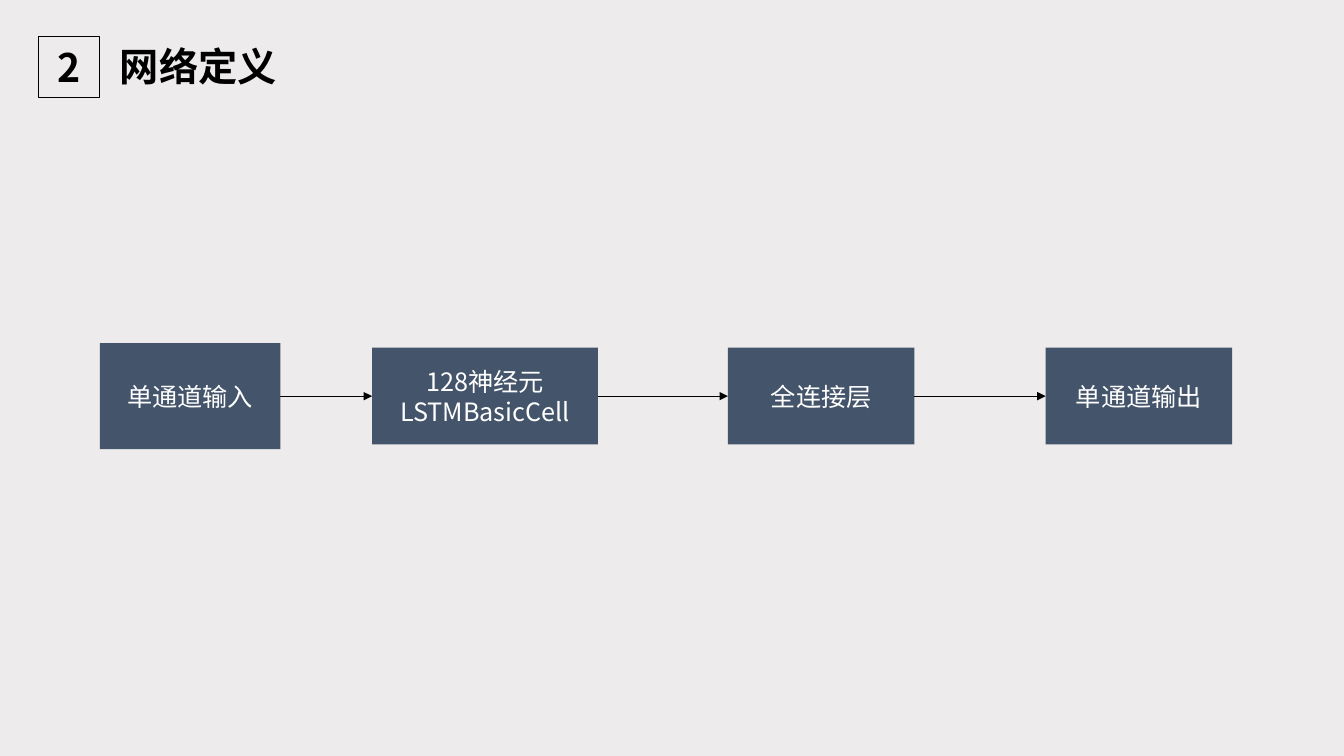
from pptx import Presentation
from pptx.dml.color import RGBColor
from pptx.enum.shapes import MSO_CONNECTOR as Connector, MSO_SHAPE as Shape
from pptx.enum.text import MSO_ANCHOR as Anchor, PP_ALIGN as Align
from pptx.oxml.ns import qn
from pptx.util import Inches, Pt
from lxml import etree

COLORS = {"background": "EDEBEC", "ink": "000000", "layer": "44546A", "light": "FFFFFF"}
FONT = "Noto Sans CJK SC"
FLOW_Y = 3.93  # centre line of the network

# left, width, height, lines of text
LAYERS = [
    (0.99, 1.79, 1.05, "单通道输入"),
    (3.69, 2.24, 0.96, "128神经元\nLSTMBasicCell"),
    (7.22, 1.85, 0.96, "全连接层"),
    (10.37, 1.85, 0.96, "单通道输出"),
]


def color(name):
    return RGBColor.from_string(COLORS[name])


def write(frame, text, size, ink, align, anchor, bold=False):
    frame.text = text
    frame.word_wrap = True
    frame.vertical_anchor = anchor
    for paragraph in frame.paragraphs:
        paragraph.alignment = align
        font = paragraph.font
        font.name, font.size, font.bold = FONT, Pt(size), bold
        font.color.rgb = color(ink)
        # Chinese characters take the East Asian typeface
        defaults = paragraph._p.pPr.find(qn("a:defRPr"))
        etree.SubElement(defaults, qn("a:ea"), typeface=FONT)


def add_title(slide, text):
    title = slide.shapes.title
    title.left, title.top = Inches(1.09), Inches(0.37)
    title.width, title.height = Inches(4.72), Inches(0.57)
    write(title.text_frame, text, 28, "ink", Align.LEFT, Anchor.TOP, bold=True)


def add_box(slide, left, top, width, height):
    box = slide.shapes.add_shape(
        Shape.RECTANGLE, Inches(left), Inches(top), Inches(width), Inches(height))
    box.shadow.inherit = False
    return box


def add_section_number(slide, number):
    badge = add_box(slide, 0.38, 0.36, 0.61, 0.61)
    badge.fill.background()
    badge.line.color.rgb = color("ink")
    badge.line.width = Pt(0.5)
    write(badge.text_frame, number, 28, "ink", Align.CENTER, Anchor.MIDDLE, bold=True)


def add_layer(slide, left, width, height, text):
    layer = add_box(slide, left, FLOW_Y - height / 2, width, height)
    layer.fill.solid()
    layer.fill.fore_color.rgb = color("layer")
    layer.line.fill.background()
    write(layer.text_frame, text, 18, "light", Align.CENTER, Anchor.MIDDLE)
    return layer


def add_arrow(slide, source, target):
    y = Inches(FLOW_Y)
    arrow = slide.shapes.add_connector(
        Connector.STRAIGHT, source.left + source.width, y, target.left, y)
    arrow.begin_connect(source, 3)
    arrow.end_connect(target, 1)
    arrow.line.color.rgb = color("ink")
    arrow.line.width = Pt(0.5)
    etree.SubElement(arrow.line._get_or_add_ln(), qn("a:tailEnd"), type="triangle")
    etree.SubElement(arrow._element.spPr, qn("a:effectLst"))


def main():
    deck = Presentation()
    deck.slide_width, deck.slide_height = Inches(13.33), Inches(7.5)
    slide = deck.slides.add_slide(deck.slide_layouts[5])
    slide.background.fill.solid()
    slide.background.fill.fore_color.rgb = color("background")

    # Heading
    add_title(slide, "网络定义")
    add_section_number(slide, "2")

    # Network layers, each linked to the next
    layers = [add_layer(slide, *layer) for layer in LAYERS]
    for source, target in zip(layers, layers[1:]):
        add_arrow(slide, source, target)

    deck.save("out.pptx")


if __name__ == "__main__":
    main()
